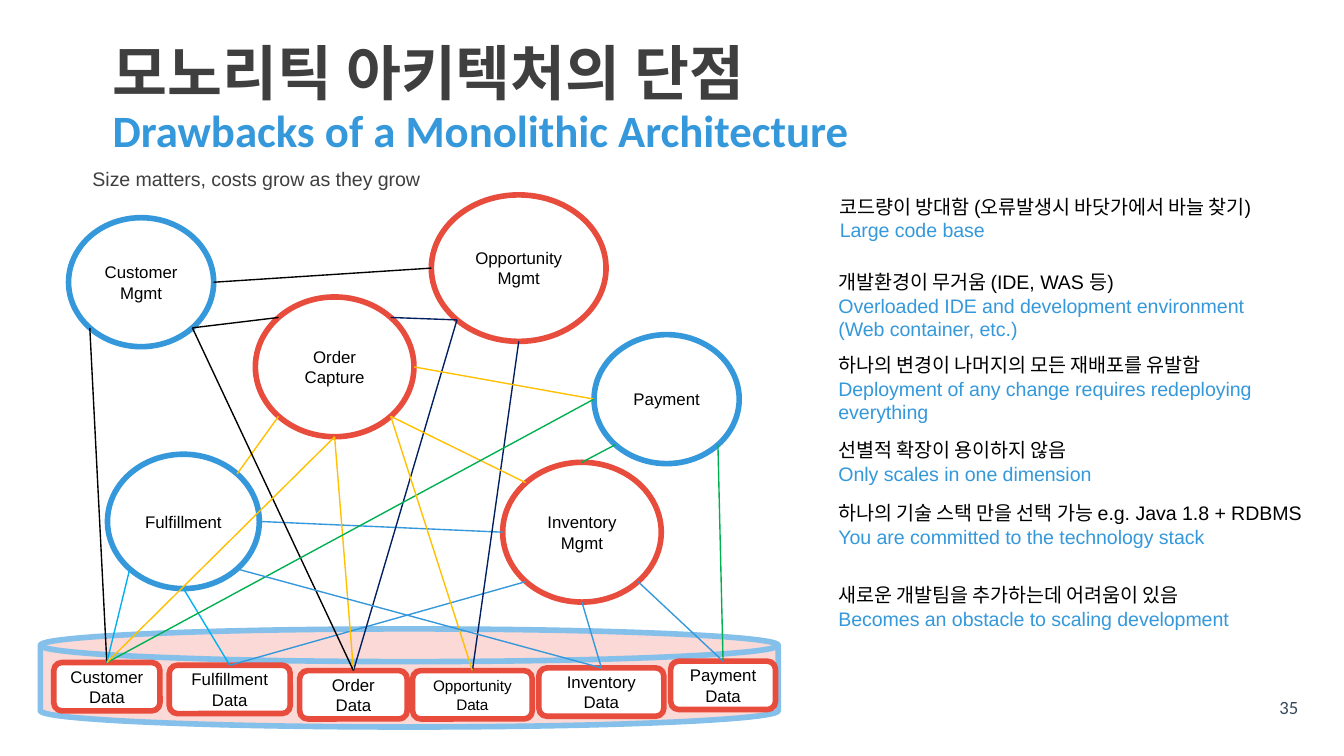
from math import cos, radians, sin

from lxml import etree
from pptx import Presentation
from pptx import util as u
from pptx.dml.color import RGBColor
from pptx.enum import shapes, text
from pptx.oxml.ns import qn

# A 16:9 slide
SLIDE_WIDTH = u.Inches(10)
SLIDE_HEIGHT = SLIDE_WIDTH * 9 // 16

THEME = {
    "blue": "3498DB", "red": "E74C3C", "black": "000000", "white": "FFFFFF",
    "gray": "3F3F3F", "slate": "34495E", "navy": "002060", "amber": "FFC000",
    "green": "00B050", "sky": "00B0F0", "disk": "FAD9D6", "disk_line": "84C0E9",
    "title": 32, "subtitle": 24, "body": 10.5, "label": 9, "small": 8.2, "number": 10,
    "font": "Arial", "heading_font": "Calibri", "outline": 3, "link": 0.75,
}

# Content: services as name -> (lines, left, top, width, height, outline)
SERVICES = {
    "Customer": (["Customer", "Mgmt"], 0.51, 1.62, 1.08, 0.96, "blue"),
    "Order": (["Order", "Capture"], 1.9, 2.21, 1.18, 1.04, "red"),
    "Fulfillment": (["Fulfillment"], 0.8, 3.38, 1.13, 1, "blue"),
    "Payment": (["Payment"], 4.42, 2.49, 1.08, 0.96, "blue"),
    "Opportunity": (["Opportunity", "Mgmt"], 3.21, 1.45, 1.3, 1.09, "red"),
    "Inventory": (["Inventory", "Mgmt"], 3.74, 3.44, 1.18, 1.04, "red"),
}
# Data stores: name, left, top, width, type size
STORES = [
    ("Customer", 0.4, 4.93, 0.79, "label"),
    ("Fulfillment", 1.26, 4.95, 0.9, "label"),
    ("Order", 2.23, 4.99, 0.8, "label"),
    ("Opportunity", 3.07, 4.99, 0.89, "small"),
    ("Payment", 4.99, 4.92, 0.78, "label"),
    ("Inventory", 4.01, 4.97, 0.93, "label"),
]
STORE_HEIGHT = 0.36
DISK = (0.3, 4.68, 5.49, 0.73)
# Links: service, side, other service and side (None for a data store), colour
LINKS = [
    ("Inventory", "S", "Inventory", None, "blue"),
    ("Inventory", "W", "Fulfillment", "E", "blue"),
    ("Inventory", "SW", "Fulfillment", None, "blue"),
    ("Opportunity", "S", "Opportunity", None, "navy"),
    ("Opportunity", "SW", "Order", None, "navy"),
    ("Opportunity", "W", "Customer", "E", "black"),
    ("Order", "NW", "Customer", "SE", "black"),
    ("Customer", "SW", "Customer", None, "black"),
    ("Order", "S", "Order", None, "amber"),
    ("Fulfillment", "NE", "Order", "SW", "amber"),
    ("Payment", "W", "Order", "E", "amber"),
    ("Payment", "SE", "Payment", None, "green"),
    ("Fulfillment", "S", "Fulfillment", None, "sky"),
    ("Fulfillment", "SW", "Customer", None, "sky"),
    ("Customer", "SE", "Order", None, "black"),
    ("Inventory", "SE", "Payment", None, "blue"),
    ("Opportunity", "SW", "Order", "NE", "navy"),
    ("Inventory", "NW", "Order", "SE", "amber"),
    ("Inventory", "N", "Payment", "SW", "green"),
    ("Payment", "W", "Customer", None, "green"),
    ("Order", "SE", "Opportunity", None, "amber"),
    ("Order", "S", "Customer", None, "amber"),
    ("Fulfillment", "SE", "Inventory", None, "blue"),
]
SIDES = ["E", "SE", "S", "SW", "W", "NW", "N", "NE"]
# Drawbacks: left, top, width, height, Korean, English
DRAWBACKS = [
    (6.15, 1.4, 3.65, 0.45, "코드량이 방대함 (오류발생시 바닷가에서 바늘 찾기)", "Large code base"),
    (6.14, 1.96, 3.4, 0.63, "개발환경이 무거움 (IDE, WAS 등)",
     "Overloaded IDE and development environment (Web container, etc.)"),
    (6.14, 2.58, 3.4, 0.63, "하나의 변경이 나머지의 모든 재배포를 유발함",
     "Deployment of any change requires redeploying everything"),
    (6.14, 3.21, 3.4, 0.45, "선별적 확장이 용이하지 않음", "Only scales in one dimension"),
    (6.14, 3.68, 3.98, 0.45, "하나의 기술 스택 만을 선택 가능 e.g. Java 1.8 + RDBMS",
     "You are committed to the technology stack"),
    (6.14, 4.29, 3.4, 0.45, "새로운 개발팀을 추가하는데 어려움이 있음",
     "Becomes an obstacle to scaling development"),
]


def color(name):
    return RGBColor.from_string(THEME[name])


def inches(values):
    return [u.Inches(value) for value in values]


def set_all(target, values):
    for name, value in values.items():
        setattr(target, name, value)


def format_run(run, size, ink, font="font", bold=False):
    set_all(run.font, {"size": u.Pt(THEME[size]), "name": THEME[font], "bold": bold})
    run.font.color.rgb = color(ink)


def set_frame(frame, anchor, x=0.1, y=0.05):
    set_all(frame, {
        "word_wrap": True, "vertical_anchor": anchor,
        "margin_left": u.Inches(x), "margin_right": u.Inches(x),
        "margin_top": u.Inches(y), "margin_bottom": u.Inches(y),
    })


def write(frame, lines, align=text.PP_ALIGN.LEFT):
    """Write one paragraph for each (words, size, ink)."""
    for index, (words, size, ink) in enumerate(lines):
        paragraph = frame.add_paragraph() if index else frame.paragraphs[0]
        paragraph.alignment = align
        run = paragraph.add_run()
        run.text = words
        format_run(run, size, ink)


def add_text(slide, box, lines):
    frame = slide.shapes.add_textbox(*inches(box)).text_frame
    set_frame(frame, text.MSO_ANCHOR.TOP)
    write(frame, lines)


def add_node(slide, kind, box, fill, outline, words=(), size="label"):
    shape = slide.shapes.add_shape(kind, *inches(box))
    shape.shadow.inherit = False
    shape.fill.solid()
    shape.fill.fore_color.rgb = color(fill)
    shape.line.color.rgb = color(outline)
    shape.line.width = u.Pt(THEME["outline"])
    set_frame(shape.text_frame, text.MSO_ANCHOR.MIDDLE)
    write(shape.text_frame, [(word, size, "black") for word in words], text.PP_ALIGN.CENTER)
    return shape


def rim_point(service, side):
    left, top, width, height = SERVICES[service][1:5]
    angle = radians(45 * SIDES.index(side))
    return left + width / 2 * (1 + cos(angle)), top + height / 2 * (1 + sin(angle))


def add_link(slide, start, end, ink, store=None):
    link = slide.shapes.add_connector(shapes.MSO_CONNECTOR.STRAIGHT, *inches(start + end))
    link.line.color.rgb = color(ink)
    link.line.width = u.Pt(THEME["link"])
    etree.SubElement(link._element.spPr, qn("a:effectLst"))
    if store is not None:
        link.end_connect(store, 0)


def main():
    presentation = Presentation()
    set_all(presentation, {"slide_width": SLIDE_WIDTH, "slide_height": SLIDE_HEIGHT})
    slide = presentation.slides.add_slide(presentation.slide_layouts[6])
    kinds = shapes.MSO_SHAPE

    # Page number
    frame = slide.shapes.add_textbox(*inches((9.31, 5.21, 0.56, 0.26))).text_frame
    set_frame(frame, text.MSO_ANCHOR.TOP, 0.15, 0.07)
    write(frame, [("35", "number", "slate")], text.PP_ALIGN.CENTER)
    frame.paragraphs[0].line_spacing = 0.5
    frame.paragraphs[0].runs[0].font.name = THEME["heading_font"]

    # Services, shared database and its stores
    for words, *box, outline in SERVICES.values():
        add_node(slide, kinds.OVAL, box, "white", outline, words)
    add_node(slide, kinds.FLOWCHART_MAGNETIC_DISK, DISK, "disk", "disk_line")
    stores = {}
    for name, left, top, width, size in STORES:
        stores[name] = add_node(slide, kinds.ROUNDED_RECTANGLE, (left, top, width, STORE_HEIGHT),
                                "white", "red", [name, "Data"], size)

    # Links between services and to the stores
    store_tops = {name: (left + width / 2, top) for name, left, top, width, _ in STORES}
    for service, side, other, other_side, ink in LINKS:
        end = rim_point(other, other_side) if other_side else store_tops[other]
        add_link(slide, rim_point(service, side), end, ink,
                 None if other_side else stores[other])

    # Drawbacks
    for *box, korean, english in DRAWBACKS:
        add_text(slide, box, [(korean, "body", "black"), (english, "body", "blue")])

    # Title and lead-in
    frame = slide.shapes.add_textbox(*inches((0.74, 0.45, 8.57, 0.6))).text_frame
    set_frame(frame, text.MSO_ANCHOR.MIDDLE)
    paragraph = frame.paragraphs[0]
    paragraph.line_spacing = 0.9
    run = paragraph.add_run()
    run.text = "모노리틱 아키텍처의 단점"
    format_run(run, "title", "gray", "heading_font", True)
    paragraph.add_line_break()
    run = paragraph.add_run()
    run.text = "Drawbacks of a Monolithic Architecture"
    format_run(run, "subtitle", "blue", "heading_font", True)
    add_text(slide, (0.59, 1.19, 5.86, 0.28),
             [("Size matters, costs grow as they grow", "body", "gray")])

    presentation.save("out.pptx")


if __name__ == "__main__":
    main()
